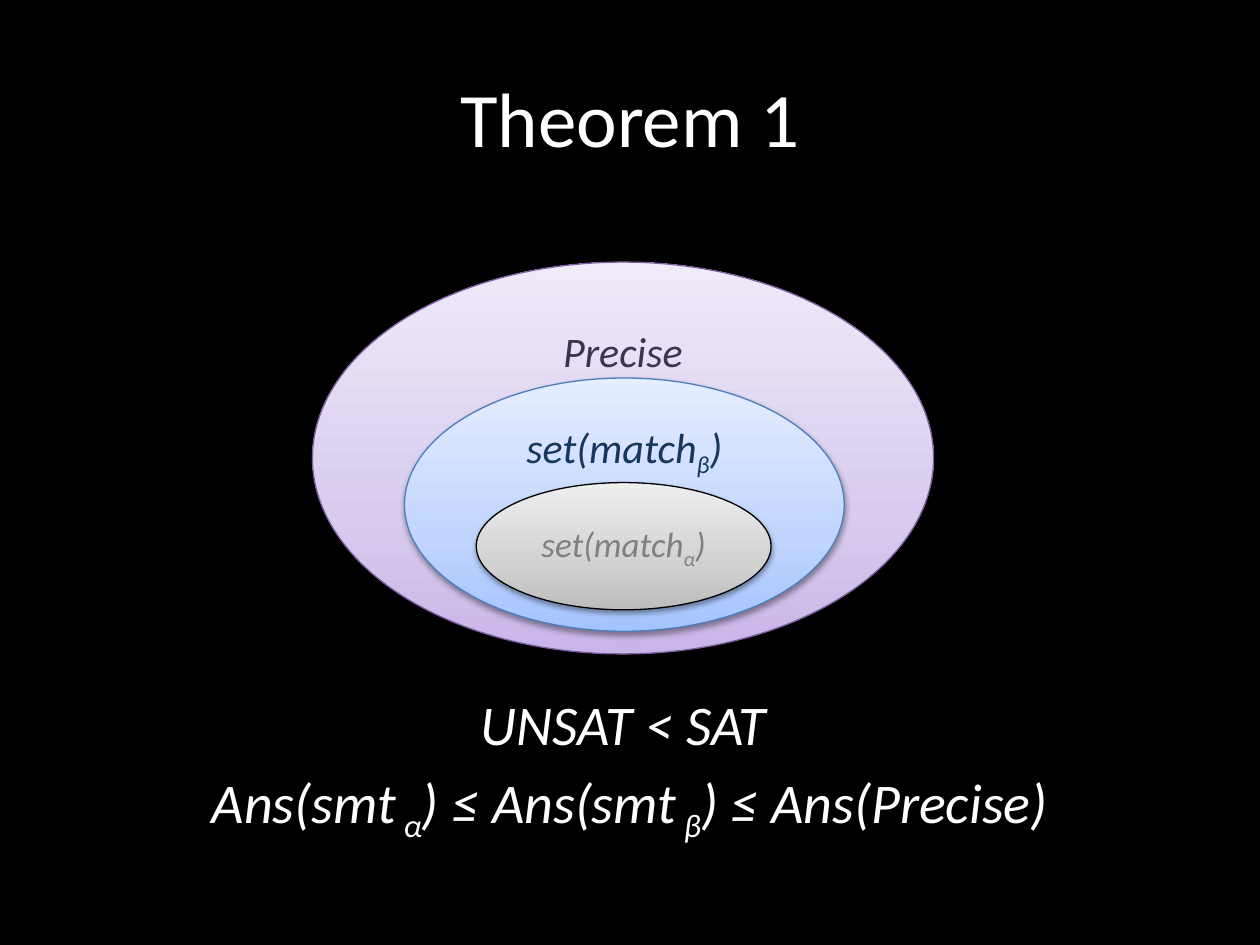
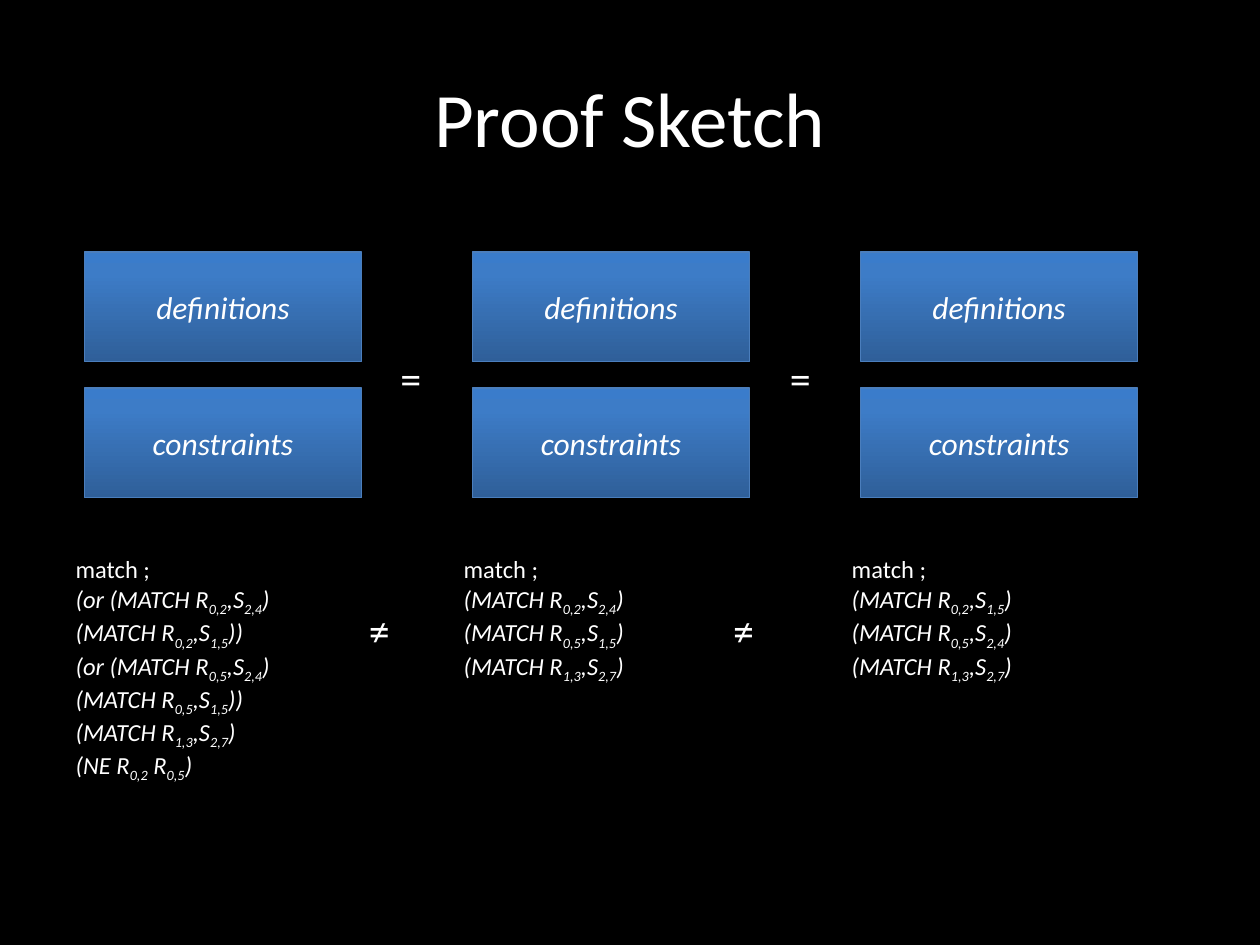
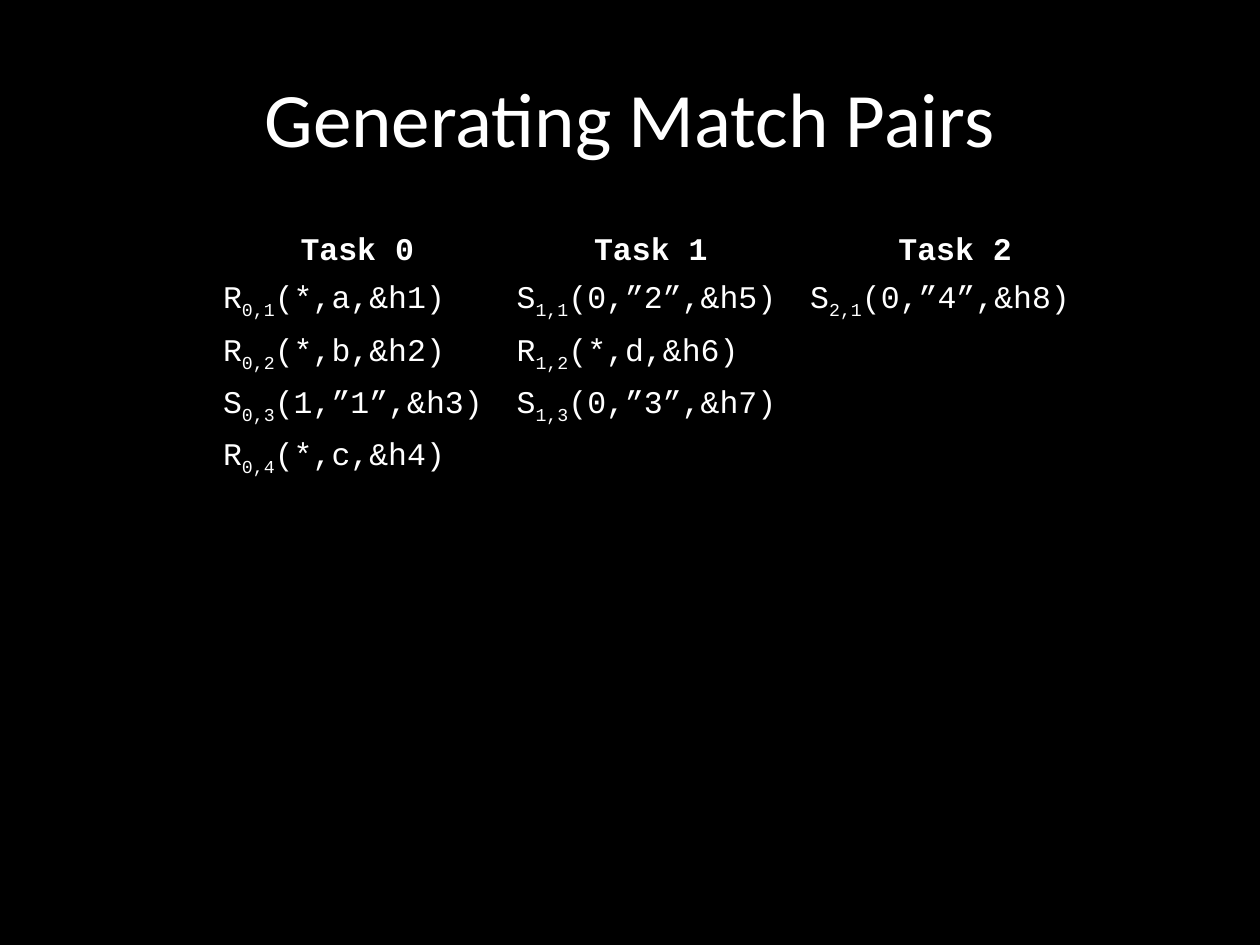
"""Build three dark slides on match pairs: a theorem, its proof sketch and an example."""
from copy import deepcopy

from lxml.etree import SubElement
from pptx import Presentation
from pptx.dml.color import RGBColor
from pptx.enum.shapes import MSO_SHAPE as SHAPE
from pptx.enum.text import MSO_ANCHOR as ANCHOR, MSO_AUTO_SIZE as AUTO, PP_ALIGN as ALIGN
from pptx.oxml.ns import qn
from pptx.util import Inches, Pt

COLORS = {
    "back": "000000", "text": "FFFFFF", "shadow": "000000", "blue_line": "4B7EBC",
    "purple_line": "7D60A0", "purple_text": "403152", "navy_text": "17375E",
    "gray_line": "000000", "gray_text": "808080",
}
GRADIENTS = {
    "purple": [(0, "C9B5E8"), (0.35, "D8CBEE"), (1, "F0EAF9")],
    "light_blue": [(0, "A4C4FF"), (0.35, "BFD4FF"), (1, "E6EEFF")],
    "gray": [(0, "BDBDBD"), (0.35, "D1D1D1"), (1, "EEEEEE")],
    "blue": [(0, "2F5F99"), (0.8, "3D7CC7"), (1, "3A7CCB")],
}
SANS, MONO = "Calibri", "Courier New"
NO_STYLE = "{2D5ABB26-0587-4C30-8999-92F81FD0307C}"


def rgb(name):
    """Return the named colour."""
    return RGBColor.from_string(COLORS[name])


def write(tf, lines, size, color="text", font=SANS, align=None, italic=False, bold=False):
    """Write one paragraph per line; text between bars is subscript."""
    tf.text = "\n".join([""] * len(lines))
    for p, line in zip(tf.paragraphs, lines):
        p.alignment = align
        for i, piece in enumerate(line.split("|")):
            r = p.add_run()
            r.text = piece
            r.font.size, r.font.name = Pt(size), font
            r.font.italic, r.font.bold = italic, bold
            r.font.color.rgb = rgb(color)
            if i % 2:
                r._r.get_or_add_rPr().set("baseline", "-25000")


def place(sp, left, top, width, height):
    """Move and size a shape, in inches."""
    sp.left, sp.top = Inches(left), Inches(top)
    sp.width, sp.height = Inches(width), Inches(height)


def add_slide(prs, layout, title):
    """Add a slide with the shared title style."""
    s = prs.slides.add_slide(prs.slide_layouts[layout])
    place(s.shapes.title, 0.5, 0.3, 9, 1.25)
    tf = s.shapes.title.text_frame
    tf.vertical_anchor = ANCHOR.MIDDLE
    write(tf, [title], 44, align=ALIGN.CENTER)
    return s


def set_gradient(sp, stops):
    """Fill a shape with a three-stop gradient that runs upwards."""
    sp.fill.gradient()
    sp.fill.gradient_angle = 90
    stop_list = sp._element.spPr.find(".//" + qn("a:gsLst"))
    stop_list.append(deepcopy(stop_list[-1]))
    for stop, (position, color) in zip(sp.fill.gradient_stops, stops):
        stop.position = position
        stop.color.rgb = RGBColor.from_string(color)


def set_shadow(sp, alpha, distance):
    """Give a shape a soft shadow straight below it."""
    sp.shadow.inherit = False
    effects = sp._element.spPr.find(qn("a:effectLst"))
    outer = SubElement(effects, qn("a:outerShdw"), blurRad="40000", dist=str(distance),
                       dir="5400000", rotWithShape="0")
    color = SubElement(outer, qn("a:srgbClr"), val=COLORS["shadow"])
    SubElement(color, qn("a:alpha"), val=str(alpha * 1000))


def add_block(shapes, kind, box, text, size, gradient, line, color="text",
              anchor=ANCHOR.MIDDLE, shadow=(38, 20000)):
    """Add a shaded preset shape with a centred italic label."""
    sp = shapes.add_shape(kind, *map(Inches, box))
    set_gradient(sp, GRADIENTS[gradient])
    sp.line.color.rgb, sp.line.width = rgb(line), Pt(0.75)
    set_shadow(sp, *shadow)
    sp.text_frame.vertical_anchor = anchor
    write(sp.text_frame, [text], size, color, align=ALIGN.CENTER, italic=True)


def add_sign(s, left, top, text):
    """Add a relation sign between two columns."""
    tf = s.shapes.add_textbox(*map(Inches, (left, top, 0.39, 0.5))).text_frame
    tf.word_wrap, tf.auto_size = False, AUTO.SHAPE_TO_FIT_TEXT
    write(tf, [text], 24)


def add_plain_table(s, left, top, widths, heights):
    """Add a table without banding, borders or header style."""
    frame = s.shapes.add_table(len(heights), len(widths), Inches(left), Inches(top),
                               Inches(sum(widths)), Inches(sum(heights)))
    table = frame.table
    table.first_row = table.horz_banding = False
    table._tbl.tblPr.find(qn("a:tableStyleId")).text = NO_STYLE
    for column, width in zip(table.columns, widths):
        column.width = Inches(width)
    for row, height in zip(table.rows, heights):
        row.height = Inches(height)
    return table


def theorem_slide(prs):
    """Nested sets and the order of their answers."""
    s = add_slide(prs, 1, "Theorem 1")
    body = s.placeholders[1]
    place(body, 0.5, 5.42, 9, 1.67)
    write(body.text_frame, ["UNSAT < SAT ", "Ans(smt| α|) ≤ Ans(smt| β|) ≤ Ans(Precise)"],
          32, align=ALIGN.CENTER, italic=True)
    for p in body.text_frame.paragraphs:
        pPr = p._p.get_or_add_pPr()
        pPr.set("marL", "0")
        pPr.set("indent", "0")
        SubElement(pPr, qn("a:buNone"))
    shapes = s.shapes.add_group_shape().shapes
    add_block(shapes, SHAPE.OVAL, (2.48, 2.08, 4.93, 3.11), "Precise", 24,
              "purple", "purple_line", "purple_text", ANCHOR.TOP)
    add_block(shapes, SHAPE.OVAL, (3.21, 3, 3.49, 2.01), "set(match|β|)", 24,
              "light_blue", "blue_line", "navy_text", ANCHOR.TOP)
    add_block(shapes, SHAPE.OVAL, (3.78, 3.83, 2.34, 1.01), "set(match|α|)", 20,
              "gray", "gray_line", "gray_text")


def proof_slide(prs):
    """Three problems that differ only in their match part."""
    s = add_slide(prs, 5, "Proof Sketch")
    matches = [
        ["(or (MATCH R|0,2|,S|2,4|)", "(MATCH R|0,2|,S|1,5|))", "(or (MATCH R|0,5|,S|2,4|)",
         "(MATCH R|0,5|,S|1,5|))", "(MATCH R|1,3|,S|2,7|)", "(NE R|0,2| R|0,5|)"],
        ["(MATCH R|0,2|,S|2,4|)", "(MATCH R|0,5|,S|1,5|)", "(MATCH R|1,3|,S|2,7|)"],
        ["(MATCH R|0,2|,S|1,5|)", "(MATCH R|0,5|,S|2,4|)", "(MATCH R|1,3|,S|2,7|)"],
    ]
    table = add_plain_table(s, 0.5, 1.75, [3.08, 3.08, 2.83], [5.17])
    for i, lines in enumerate(matches):
        cell = table.cell(0, i)
        cell.fill.background()
        cell.margin_top = Inches(2.66)
        write(cell.text_frame, ["match ;"] + lines, 14, italic=True)
        cell.text_frame.paragraphs[0].runs[0].font.italic = False
        for j, label in enumerate(["definitions", "constraints"]):
            add_block(s.shapes, SHAPE.RECTANGLE, (0.67 + 3.08 * i, 2 + 1.08 * j, 2.2, 0.87),
                      label, 18, "blue", "blue_line", shadow=(35, 23000))
    for left, top, sign in [(3.08, 2.75, "="), (6.17, 2.75, "="),
                            (2.83, 4.75, "≠"), (5.72, 4.75, "≠")]:
        add_sign(s, left, top, sign)


def pairs_slide(prs):
    """Sends and receives of three tasks."""
    s = add_slide(prs, 5, "Generating Match Pairs")
    rows = [
        ["Task 0", "Task 1", "Task 2"],
        ["R|0,1|(*,a,&h1)", "S|1,1|(0,”2”,&h5)", "S|2,1|(0,”4”,&h8)"],
        ["R|0,2|(*,b,&h2)", "R|1,2|(*,d,&h6)", ""],
        ["S|0,3|(1,”1”,&h3)", "S|1,3|(0,”3”,&h7)", ""],
        ["R|0,4|(*,c,&h4)", "", ""],
    ]
    table = add_plain_table(s, 1.67, 1.81, [2.33, 2.33, 2.5], [0.38] + [0.41] * 4)
    for i, row in enumerate(rows):
        for j, text in enumerate(row):
            cell = table.cell(i, j)
            cell.fill.solid()
            cell.fill.fore_color.rgb = rgb("back")
            if text:
                write(cell.text_frame, [text], 18, font=MONO, bold=i == 0,
                      align=ALIGN.LEFT if i else ALIGN.CENTER)


def main():
    """Build and save the presentation."""
    prs = Presentation()
    prs.slide_width, prs.slide_height = Inches(10), Inches(7.5)
    fill = prs.slide_master.background.fill
    fill.solid()
    fill.fore_color.rgb = rgb("back")
    theorem_slide(prs)
    proof_slide(prs)
    pairs_slide(prs)
    prs.save("out.pptx")


main()
